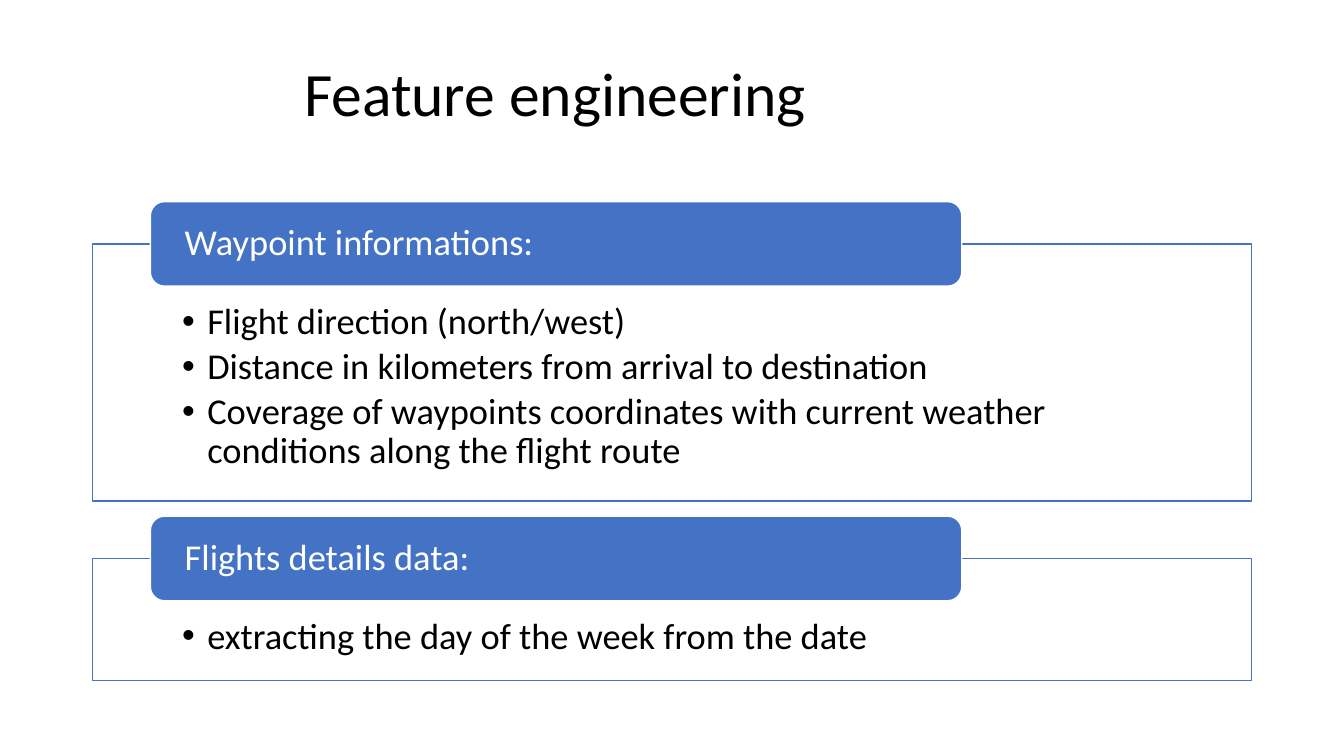
"""Build the feature engineering slide with two headed panels."""
from lxml.etree import SubElement
from pptx import Presentation
from pptx.dml.color import RGBColor
from pptx.enum.shapes import MSO_SHAPE as Shape
from pptx.enum.text import MSO_ANCHOR as Anchor, PP_ALIGN as Align
from pptx.oxml.ns import qn
from pptx.util import Pt

FONT = "Calibri"
BLUE, WHITE, BLACK = "4472C4", "FFFFFF", "000000"
PANEL_LEFT, PANEL_WIDTH = 66, 828
HEADING_LEFT, HEADING_WIDTH, HEADING_HEIGHT = 107.4, 579.6, 60.4
PANELS = [
    ("Waypoint informations:", 174.2, 183.7, [
        "Flight direction (north/west)",
        "Distance in kilometers from arrival to destination",
        "Coverage of waypoints coordinates with current weather "
        "conditions along the flight route",
    ]),
    ("Flights details data:", 398.9, 87.1, [
        "extracting the day of the week from the date",
    ]),
]


def color(value):
    return RGBColor.from_string(value)


def add_bullet(para, indent=18):
    properties = para._p.get_or_add_pPr()
    properties.set("marL", str(Pt(indent)))
    properties.set("indent", str(-Pt(indent)))
    SubElement(properties, qn("a:buFont"), typeface="Arial")
    SubElement(properties, qn("a:buChar"), char="•")


def write_text(box, lines, size=26, ink=BLACK, anchor=Anchor.MIDDLE,
               margins=(7.2, 3.6, 7.2, 3.6), bullets=False, after=0):
    frame = box.text_frame
    frame.word_wrap = True
    frame.vertical_anchor = anchor
    (frame.margin_left, frame.margin_top,
     frame.margin_right, frame.margin_bottom) = map(Pt, margins)
    for index, line in enumerate(lines):
        para = frame.add_paragraph() if index else frame.paragraphs[0]
        para.alignment = Align.LEFT
        para.line_spacing = 0.9
        para.space_before = Pt(0)
        para.space_after = Pt(after)
        if bullets:
            add_bullet(para)
        span = para.add_run()
        span.text = line
        span.font.name = FONT
        span.font.size = Pt(size)
        span.font.color.rgb = color(ink)


def add_box(slide, kind, left, top, width, height, fill, line, opacity=100):
    box = slide.shapes.add_shape(kind, Pt(left), Pt(top), Pt(width), Pt(height))
    box.shadow.inherit = False
    box.fill.solid()
    box.fill.fore_color.rgb = color(fill)
    if opacity < 100:
        tint = box._element.spPr.find(qn("a:solidFill"))[0]
        SubElement(tint, qn("a:alpha"), val=str(opacity * 1000))
    box.line.color.rgb = color(line)
    box.line.width = Pt(1)
    return box


def add_title(slide, text):
    title = slide.shapes.title
    title.left, title.top = Pt(PANEL_LEFT), Pt(16.6)
    title.width, title.height = Pt(PANEL_WIDTH), Pt(104.4)
    write_text(title, [text], size=44, margins=(151.2, 3.6, 7.2, 3.6))


def add_panel(slide, heading, top, height, items):
    panel = add_box(slide, Shape.RECTANGLE, PANEL_LEFT, top, PANEL_WIDTH, height,
                    WHITE, BLUE, opacity=90)
    write_text(panel, items, anchor=Anchor.TOP, margins=(64.1, 42.5, 64.1, 14.4),
               bullets=True, after=4)
    label = add_box(slide, Shape.ROUNDED_RECTANGLE, HEADING_LEFT,
                    top - HEADING_HEIGHT / 2, HEADING_WIDTH, HEADING_HEIGHT,
                    BLUE, WHITE)
    write_text(label, [heading], ink=WHITE, margins=(21.6, 0, 21.6, 0))


def main():
    deck = Presentation()
    deck.slide_width, deck.slide_height = Pt(960), Pt(540)
    page = deck.slides.add_slide(deck.slide_layouts[5])
    add_title(page, "Feature engineering")
    for panel in PANELS:
        add_panel(page, *panel)
    deck.save("out.pptx")


if __name__ == "__main__":
    main()
